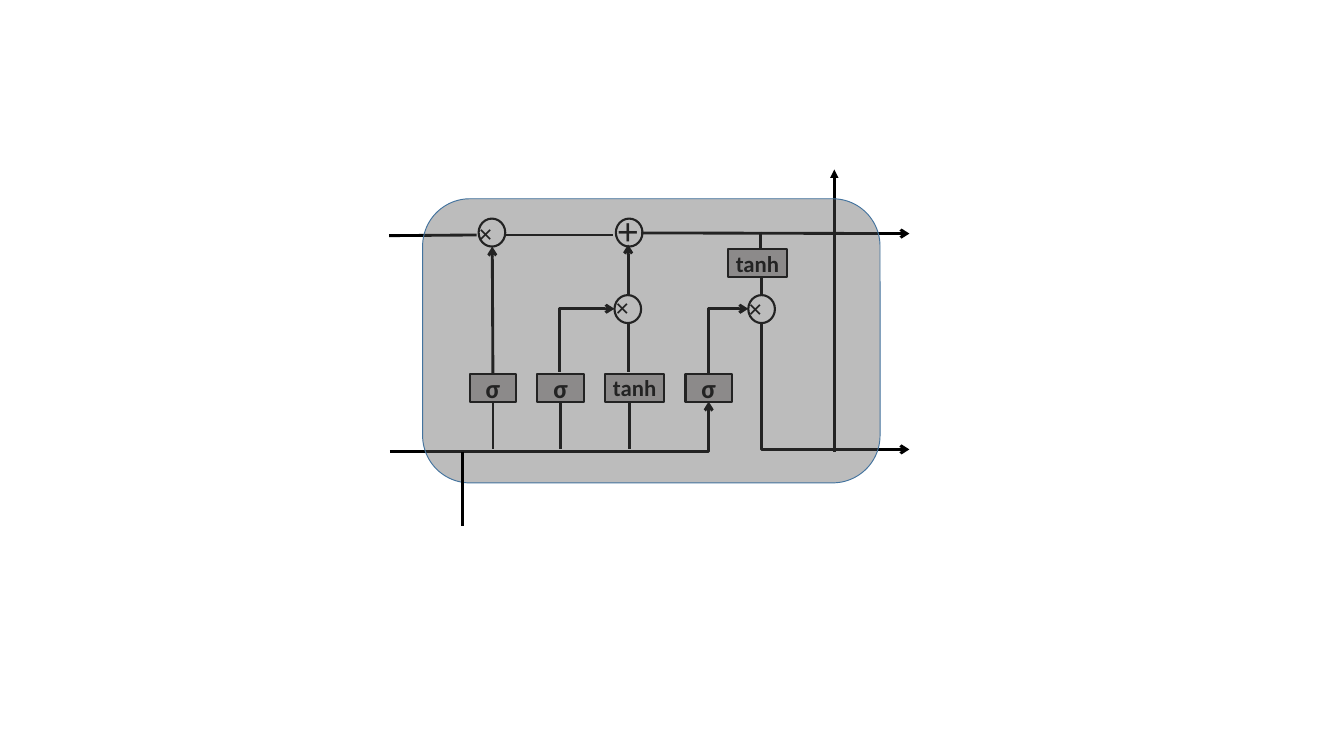
from pptx import Presentation
from pptx.dml.color import RGBColor
from pptx.enum import shapes, text
from pptx.oxml.ns import qn
from pptx.util import Inches, Pt
from lxml import etree

INK = {"line": "000000", "box": "AFABAB", "cell": "595959", "edge": "43739E"}
KIND = shapes.MSO_SHAPE
WIDE, HIGH = 50 / 2.54, 28 / 2.54  # a sheet of 50 by 28 cm

# Operators: sign, circle left and top, sign left and top
NODES = [
    ("×", 7.01, 3.2, 6.91, 3.14),
    ("＋", 9.02, 3.2, 8.91, 3.13),
    ("×", 9, 4.32, 8.91, 4.23),
    ("×", 10.96, 4.32, 10.86, 4.24),
]
# Layers: name, left, top
GATES = [
    ("σ", 6.88, 5.48),
    ("σ", 7.87, 5.47),
    ("tanh", 8.86, 5.47),
    ("σ", 10.04, 5.47),
    ("tanh", 10.66, 3.65),
]
GATE = {"σ": (0.68, 28), "tanh": (0.87, 24)}  # width, text size

# Straight wires: start, end, arrowhead at the end
WIRES = [
    ((7.4, 3.44), (8.98, 3.44), None),
    ((9.39, 3.41), (13.32, 3.42), "arrow"),
    ((5.7, 3.45), (6.98, 3.44), None),
    ((11.15, 4.05), (11.15, 4.32), None),
    ((11.14, 3.39), (11.14, 3.65), None),
    *[((x, 5.88), (x, 6.58), None) for x in (7.22, 8.21, 9.22)],
    ((9.2, 4.75), (9.2, 5.45), None),
    ((9.2, 4.32), (9.2, 3.58), "arrow"),
    ((7.22, 5.48), (7.21, 3.61), "arrow"),
    ((12.22, 6.61), (12.22, 2.48), "triangle"),
]
# Bent wires run across first, then up or down; the last item is the arrow's end
BENDS = [
    ((5.71, 6.61), (10.38, 5.88), "tailEnd"),
    ((10.96, 4.52), (10.38, 5.47), "headEnd"),
    ((13.32, 6.58), (11.15, 4.72), "headEnd"),
    ((9, 4.52), (8.2, 5.45), "headEnd"),
]
STEM = ((6.78, 6.61), (6.78, 7.7), None)
CELL = (6.19, 2.91, 6.7, 4.16)


def hue(name):
    return RGBColor.from_string(INK[name])


def shape(slide, kind, spot, fill=None, line="line", width=2.25):
    part = slide.shapes.add_shape(kind, *map(Inches, spot))
    part.shadow.inherit = False
    if fill:
        part.fill.solid()
        part.fill.fore_color.rgb = hue(fill)
    else:
        part.fill.background()
    part.line.color.rgb = hue(line)
    part.line.width = Pt(width)
    return part


def write(part, words, size, face, align):
    para = part.text_frame.paragraphs[0]
    para.alignment = align
    run = para.add_run()
    run.text = words
    style = {"size": Pt(size), "name": face, "bold": True}
    for key, val in style.items():
        setattr(run.font, key, val)
    run.font.color.rgb = hue("line")


def wire(slide, start, end, head=None, side="tailEnd", bent=False):
    kind = shapes.MSO_CONNECTOR.ELBOW if bent else shapes.MSO_CONNECTOR.STRAIGHT
    link = slide.shapes.add_connector(kind, *map(Inches, start + end))
    link.line.color.rgb = hue("line")
    link.line.width = Pt(3)
    props = link._element.spPr
    if bent:
        props.find(qn("a:prstGeom")).set("prst", "bentConnector2")
    if head:
        etree.SubElement(props.find(qn("a:ln")), qn("a:" + side), type=head)
    etree.SubElement(props, qn("a:effectLst"))


def main():
    deck = Presentation()
    deck.slide_width = Inches(WIDE)
    deck.slide_height = Inches(HIGH)
    slide = deck.slides.add_slide(deck.slide_layouts[6])

    # Operators
    for sign, x, y, left, top in NODES:
        shape(slide, KIND.OVAL, (x, y, 0.39, 0.41))
        box = slide.shapes.add_textbox(*map(Inches, (left, top, 0.48, 0.56)))
        box.text_frame.word_wrap = True
        write(box, sign, 27, "Times New Roman", text.PP_ALIGN.LEFT)

    # Layers
    for name, x, y in GATES:
        wide, size = GATE[name]
        gate = shape(slide, KIND.RECTANGLE, (x, y, wide, 0.41), "box")
        gate.text_frame.word_wrap = False
        gate.text_frame.vertical_anchor = text.MSO_ANCHOR.MIDDLE
        write(gate, name, size, "Calibri", text.PP_ALIGN.CENTER)

    # Wires
    for start, end, head in WIRES:
        wire(slide, start, end, head)
    for start, end, side in BENDS:
        wire(slide, start, end, "arrow", side, bent=True)

    # Translucent cell over the wiring, then the input stem
    cell = shape(slide, KIND.ROUNDED_RECTANGLE, CELL, "cell", "edge", 1)
    tint = cell._element.spPr.find(qn("a:solidFill"))[0]
    etree.SubElement(tint, qn("a:alpha"), val="40000")
    wire(slide, *STEM)

    deck.save("out.pptx")


if __name__ == "__main__":
    main()
